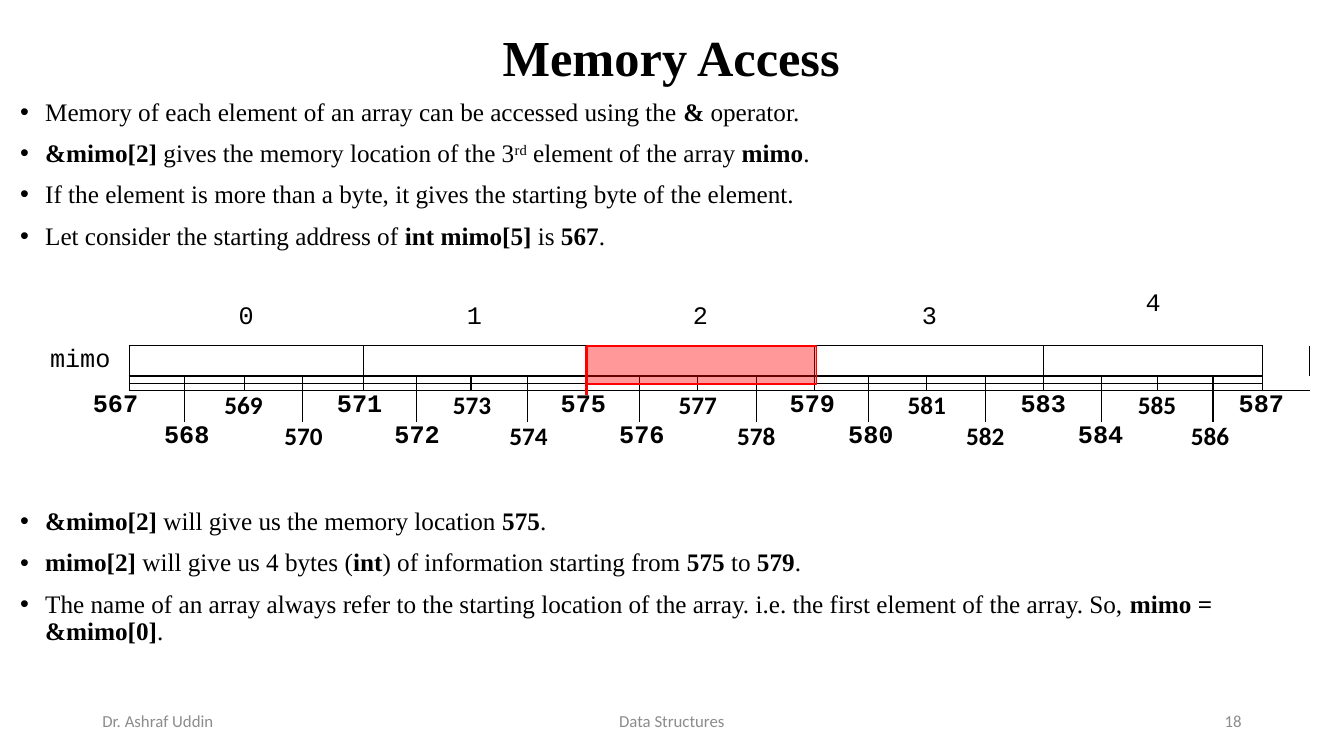
from dataclasses import dataclass

import lxml.etree
import pptx
import pptx.dml.color
import pptx.enum.shapes
import pptx.enum.text
import pptx.oxml.ns
import pptx.util

Pt = pptx.util.Pt
qn = pptx.oxml.ns.qn
SubElement = lxml.etree.SubElement
Align = pptx.enum.text.PP_ALIGN
Anchor = pptx.enum.text.MSO_ANCHOR

BLACK, RED, GREY = "000000", "FF0000", "8C8C8C"
SERIF, MONO, SANS = "Times New Roman", "Courier New", "Calibri"
NO_STYLE = "{2D5ABB26-0587-4C30-8999-92F81FD0307C}"

FIRST_ADDRESS = 567
INT_BYTES = 4
ELEMENTS = 5
LAST_BYTE = INT_BYTES * ELEMENTS
INDEX_ROW, ARRAY_ROW, ABOVE_AXIS, BELOW_AXIS, EVEN_ROW, ODD_ROW, FOOT_ROW = range(7)
COLUMN_WIDTHS = [70, 39.6, 42.5, 41.8, 43.2, 38.2, 38.9, 40.3, 41.8, 38.2, 41.8,
                 41.8, 41.8, 38.2, 41.8, 41.8, 41.8, 41, 40.3, 39.6, 35.3, 33.8]
ROW_HEIGHTS = [39.6, 20.9, 5.3, 5, 22.3, 22.3, 2.9]


@dataclass
class Caption:
    text: str
    box: tuple[float, float, float, float]
    align: Align
    format: dict
    colour: str = GREY
    line_spacing: float = 1.0


@dataclass
class BulletList:
    """Bullets in which ** surrounds bold words and ^ surrounds superscript."""
    box: tuple[float, float, float, float]
    bullets: list[str]


@dataclass
class Label:
    """Text of a table cell, which covers span columns."""
    row: int
    column: int
    text: str = ""
    span: int = 1
    font: str = MONO
    bold: bool = False
    anchor: Anchor = Anchor.MIDDLE
    left_margin: float = 0


FOOTER = {"name": SANS, "size": Pt(12)}
CAPTIONS = [
    Caption("Memory Access", (11.5, 15, 936, 56), Align.CENTER,
            {"name": SERIF, "size": Pt(36), "bold": True}, BLACK, 0.9),
    Caption("Dr. Ashraf Uddin", (66, 500.4, 216, 28.8), Align.LEFT, FOOTER),
    Caption("Data Structures", (318, 500.4, 324, 28.8), Align.CENTER, FOOTER),
    Caption("18", (678, 500.4, 216, 28.8), Align.RIGHT, FOOTER),
]
BULLET_LISTS = [
    BulletList((7.2, 67.7, 943, 125), [
        "Memory of each element of an array can be accessed using the **&** operator.",
        "**&mimo[2]** gives the memory location of the 3^rd^ element of the array **mimo**.",
        "If the element is more than a byte, it gives the starting byte of the element.",
        "Let consider the starting address of **int mimo[5]** is **567**.",
    ]),
    BulletList((7.2, 360, 943, 131), [
        "**&mimo[2] **will give us the memory location **575**.",
        "**mimo[2]** will give us 4 bytes (**int**) of information starting from **575** to **579**.",
        "The name of an array always refer to the starting location of the array. i.e. "
        "the first element of the array. So, **mimo = &mimo[0]**.",
    ]),
]


def rgb(colour: str) -> pptx.dml.color.RGBColor:
    return pptx.dml.color.RGBColor.from_string(colour)


def add_run(paragraph, text: str, colour: str, format: dict):
    run = paragraph.add_run()
    run.text = text
    for attribute, value in format.items():
        setattr(run.font, attribute, value)
    run.font.color.rgb = rgb(colour)
    return run


def add_frame(slide, box: tuple[float, float, float, float]):
    frame = slide.shapes.add_textbox(*map(Pt, box)).text_frame
    frame.word_wrap = True
    return frame


def draw_caption(slide, caption: Caption) -> None:
    frame = add_frame(slide, caption.box)
    frame.vertical_anchor = Anchor.MIDDLE
    paragraph = frame.paragraphs[0]
    paragraph.alignment = caption.align
    paragraph.line_spacing = caption.line_spacing
    add_run(paragraph, caption.text, caption.colour, caption.format)


def draw_bullets(slide, bullet_list: BulletList) -> None:
    frame = add_frame(slide, bullet_list.box)
    for number, bullet in enumerate(bullet_list.bullets):
        paragraph = frame.add_paragraph() if number else frame.paragraphs[0]
        paragraph.line_spacing = 0.9
        paragraph.space_before = Pt(10)
        properties = paragraph._p.get_or_add_pPr()
        properties.set("marL", str(Pt(18)))
        properties.set("indent", str(-Pt(18)))
        SubElement(properties, qn("a:buFont"), typeface="Arial")
        SubElement(properties, qn("a:buChar"), char="•")
        for i, phrase in enumerate(bullet.split("**")):
            for j, piece in enumerate(phrase.split("^")):
                if piece:
                    run = add_run(paragraph, piece, BLACK,
                                  {"name": SERIF, "size": Pt(18), "bold": i % 2 == 1})
                    if j % 2:
                        run.font._element.set("baseline", "30000")


def array_labels() -> list[Label]:
    labels = [Label(ARRAY_ROW, 0, "mimo")]
    for element in range(ELEMENTS):
        column = 1 + element * INT_BYTES
        anchor = Anchor.TOP if element == ELEMENTS - 1 else Anchor.MIDDLE
        labels.append(Label(INDEX_ROW, column, str(element), INT_BYTES, anchor=anchor))
        labels += [Label(row, column, span=INT_BYTES) for row in (ARRAY_ROW, FOOT_ROW)]
    for byte in range(LAST_BYTE + 1):
        labels.append(Label(ODD_ROW if byte % 2 else EVEN_ROW, byte, str(FIRST_ADDRESS + byte), 2,
                            MONO if byte % 4 < 2 else SANS, True,
                            left_margin=0 if byte else 10.8))
    return labels


def has_left_edge(row: int, column: int) -> bool:
    if not 1 <= column <= LAST_BYTE + 1:
        return False
    return (row == ARRAY_ROW and column % INT_BYTES == 1
            or row in (ABOVE_AXIS, BELOW_AXIS)
            or row == EVEN_ROW and column % 2 == 0)


def draw_edges(cell, row: int, column: int, span: int) -> None:
    in_array = 1 <= column <= LAST_BYTE
    edges = {"a:lnL": has_left_edge(row, column),
             "a:lnR": has_left_edge(row, column + span),
             "a:lnT": in_array and row in (ARRAY_ROW, BELOW_AXIS),
             "a:lnB": in_array and row in (INDEX_ROW, ABOVE_AXIS)}
    properties = cell._tc.get_or_add_tcPr()
    for position, tag in enumerate(tag for tag, drawn in edges.items() if drawn):
        line = lxml.etree.Element(qn(tag), w=str(Pt(1)))
        SubElement(SubElement(line, qn("a:solidFill")), qn("a:srgbClr"), val=BLACK)
        properties.insert(position, line)


def draw_memory(slide) -> None:
    frame = slide.shapes.add_table(len(ROW_HEIGHTS), len(COLUMN_WIDTHS), Pt(22.3), Pt(207.4),
                                   Pt(sum(COLUMN_WIDTHS)), Pt(sum(ROW_HEIGHTS)))
    memory = frame.table
    memory.first_row = memory.horz_banding = False
    memory._tbl.tblPr.find(qn("a:tableStyleId")).text = NO_STYLE
    for column, width in zip(memory.columns, COLUMN_WIDTHS):
        column.width = Pt(width)
    labels = {(label.row, label.column): label for label in array_labels()}
    for row, height in enumerate(ROW_HEIGHTS):
        memory.rows[row].height = Pt(height)
        for column in range(len(COLUMN_WIDTHS)):
            label = labels.get((row, column), Label(row, column))
            cell = memory.cell(row, column)
            if label.span > 1:
                cell.merge(memory.cell(row, column + label.span - 1))
            cell.fill.background()
            layout = {"margin_left": Pt(label.left_margin), "margin_right": 0, "margin_top": 0,
                      "margin_bottom": 0, "vertical_anchor": label.anchor}
            for attribute, value in layout.items():
                setattr(cell, attribute, value)
            draw_edges(cell, row, column, label.span)
            paragraph = cell.text_frame.paragraphs[0]
            paragraph.alignment = Align.CENTER
            if label.text:
                add_run(paragraph, label.text, BLACK,
                        {"name": label.font, "size": Pt(18), "bold": label.bold})
            else:
                SubElement(paragraph._p, qn("a:endParaRPr"), sz="100")


def draw_highlight(slide) -> None:
    """Mark the bytes of mimo[2] and the address where they start."""
    left, top = Pt(419), Pt(247)
    start = slide.shapes.add_connector(pptx.enum.shapes.MSO_CONNECTOR.STRAIGHT,
                                       left, top, left, Pt(282.2))
    start.line.color.rgb = rgb(RED)
    start.line.width = Pt(2.25)
    SubElement(start._element.spPr, qn("a:effectLst"))
    element = slide.shapes.add_shape(pptx.enum.shapes.MSO_SHAPE.RECTANGLE,
                                     left, top, Pt(164.2), Pt(27.4))
    element.shadow.inherit = False
    element.fill.solid()
    element.fill.fore_color.rgb = rgb(RED)
    fill_colour = element._element.spPr.find(qn("a:solidFill")).find(qn("a:srgbClr"))
    SubElement(fill_colour, qn("a:alpha"), val="40000")
    element.line.color.rgb = rgb(RED)
    element.line.width = Pt(1)


def main() -> None:
    presentation = pptx.Presentation()
    presentation.slide_width, presentation.slide_height = Pt(960), Pt(540)
    slide = presentation.slides.add_slide(presentation.slide_layouts[6])
    for bullet_list in BULLET_LISTS:
        draw_bullets(slide, bullet_list)
    draw_memory(slide)
    draw_highlight(slide)
    for caption in CAPTIONS:
        draw_caption(slide, caption)
    presentation.save("out.pptx")


if __name__ == "__main__":
    main()
